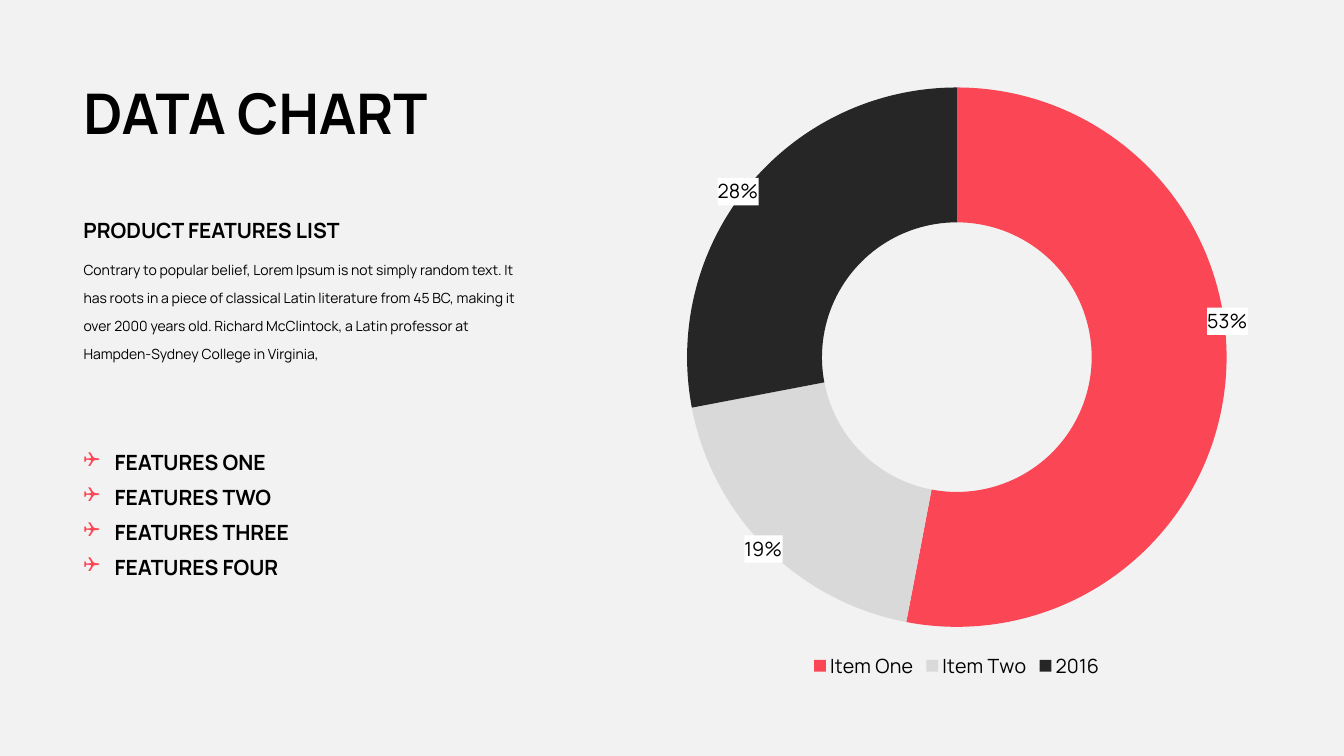
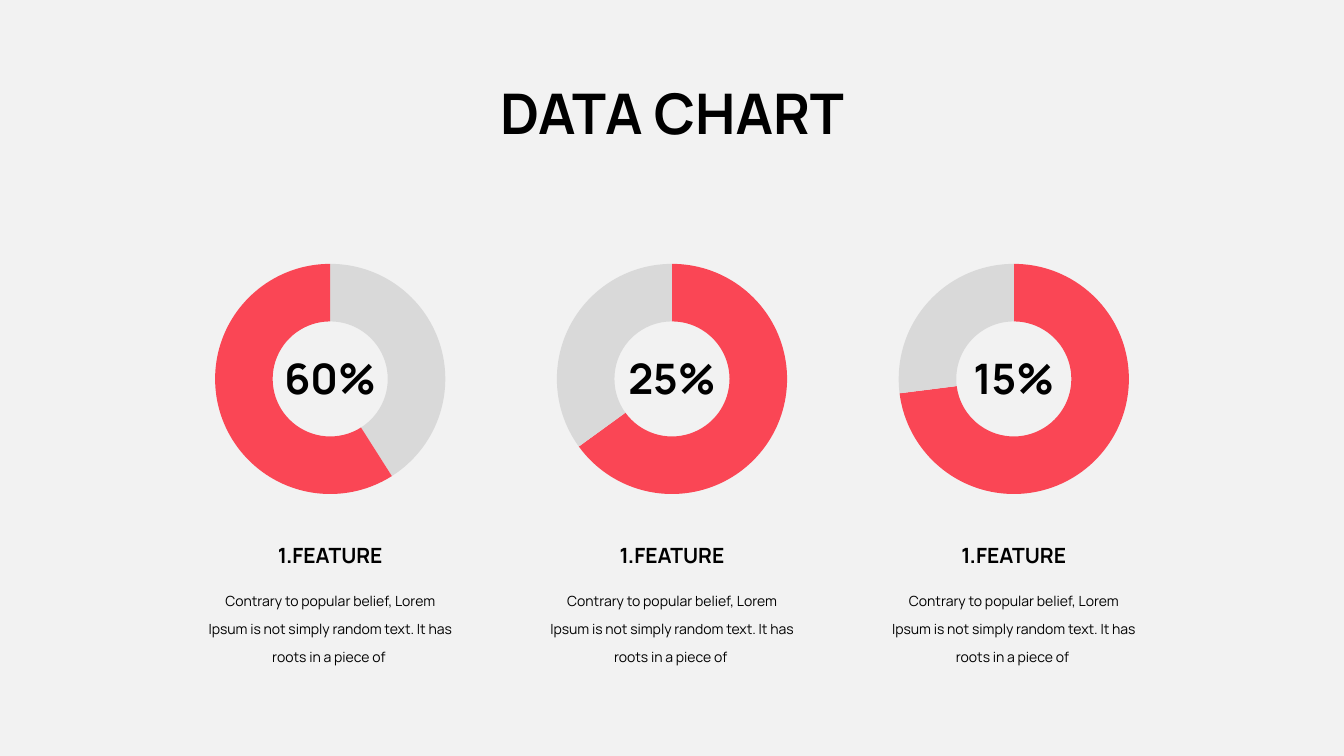
"""Build two data chart slides with doughnut charts."""
import copy

import pptx
import pptx.chart.data
import pptx.dml.color
import pptx.enum.chart
import pptx.enum.shapes
import pptx.enum.text
import pptx.oxml
import pptx.oxml.ns
import pptx.util

Inches = pptx.util.Inches
Pt = pptx.util.Pt
RGBColor = pptx.dml.color.RGBColor
ALIGN = pptx.enum.text.PP_ALIGN
qn = pptx.oxml.ns.qn
nsdecls = pptx.oxml.ns.nsdecls

RED = RGBColor(0xFA, 0x46, 0x55)
SILVER = RGBColor(0xD9, 0xD9, 0xD9)
CHARCOAL = RGBColor(0x26, 0x26, 0x26)
BLACK = RGBColor(0, 0, 0)
WHITE = RGBColor(0xFF, 0xFF, 0xFF)
PAPER = RGBColor(0xF2, 0xF2, 0xF2)
FONT = "Manrope"

SLIDE_WIDTH, SLIDE_HEIGHT = 13.33, 7.5
LEFT = 0.73
TITLE_TOP = 0.73
COLUMN_PITCH = 3.39
HOLE_SIZE = 86

STYLES = {
    "title": {"size": 40, "bold": True},
    "figure": {"size": 30, "bold": True},
    "heading": {"size": 15, "bold": True, "spacing": 25},
    "body": {"size": 10, "bold": False, "spacing": 20},
}

TITLE = "DATA CHART"
INTRO_HEADING = "PRODUCT FEATURES LIST"
INTRO = (
    "Contrary to popular belief, Lorem Ipsum is not simply random text. "
    "It has roots in a piece of classical Latin literature from 45 BC, "
    "making it over 2000 years old. Richard McClintock, a Latin professor "
    "at Hampden-Sydney College in Virginia,"
)
FEATURES = ["FEATURES ONE", "FEATURES TWO", "FEATURES THREE", "FEATURES FOUR"]
SHARES = [("Item One", 53, RED), ("Item Two", 19, SILVER), ("2016", 28, CHARCOAL)]
LABEL_OFFSETS = [(0.11, -0.09), (-0.08, 0.08), (-0.1, -0.06)]

COLUMN_HEADING = "1.FEATURE"
COLUMN_TEXT = (
    "Contrary to popular belief, Lorem Ipsum is not simply random text. "
    "It has roots in a piece of "
)
COLUMNS = [
    ("60%", [("1", None, RED), ("2", 41, SILVER), ("3", 59, RED)]),
    ("25%", [("1", 65, RED), ("2", None, RED), ("3", 35, SILVER)]),
    ("15%", [("1", 73, RED), ("2", 27, SILVER)]),
]


def add_backdrop(page):
    """Cover the slide with the paper colour."""
    backdrop = page.shapes.add_shape(
        pptx.enum.shapes.MSO_SHAPE.RECTANGLE,
        0, 0, Inches(SLIDE_WIDTH), Inches(SLIDE_HEIGHT),
    )
    backdrop.shadow.inherit = False
    backdrop.fill.solid()
    backdrop.fill.fore_color.rgb = PAPER
    backdrop.line.fill.background()


def add_text(page, lines, style, left, top, width, height, align=ALIGN.LEFT):
    """Add a text box with one paragraph per line and return its paragraphs."""
    box = page.shapes.add_textbox(
        Inches(left), Inches(top), Inches(width), Inches(height)
    )
    frame = box.text_frame
    frame.text = "\n".join(lines)
    frame.word_wrap = True
    frame.auto_size = pptx.enum.text.MSO_AUTO_SIZE.SHAPE_TO_FIT_TEXT
    look = STYLES[style]
    for para in frame.paragraphs:
        para.alignment = align
        para.font.name = FONT
        para.font.size = Pt(look["size"])
        para.font.bold = look["bold"]
        para.font.color.rgb = BLACK
        if "spacing" in look:
            para.line_spacing = Pt(look["spacing"])
    return frame.paragraphs


def add_bullet(para):
    """Give a paragraph a hanging red box bullet."""
    properties = para._p.get_or_add_pPr()
    indent = Inches(0.31)
    properties.set("marL", str(indent))
    properties.set("indent", str(-indent))
    for content in (
        f'<a:buClr {nsdecls("a")}><a:srgbClr val="{RED}"/></a:buClr>',
        f'<a:buFont {nsdecls("a")} typeface="Wingdings" charset="2"/>',
        f'<a:buChar {nsdecls("a")} char="❑"/>',
    ):
        properties.append(pptx.oxml.parse_xml(content))


def set_chart_font(font, size, name=FONT):
    """Set the typeface, size and colour of chart text."""
    font.name = name
    font.size = Pt(size)
    font.color.rgb = BLACK


def add_doughnut(page, slices, left, top, width, height):
    """Add a doughnut chart whose slices are (name, value, colour)."""
    data = pptx.chart.data.CategoryChartData()
    data.categories = [name for name, _, _ in slices]
    data.add_series("Series 1", [value for _, value, _ in slices])
    chart = page.shapes.add_chart(
        pptx.enum.chart.XL_CHART_TYPE.DOUGHNUT,
        Inches(left), Inches(top), Inches(width), Inches(height), data,
    ).chart
    chart.has_title = False
    chart.has_legend = False
    set_chart_font(chart.font, 10, "Montserrat")
    plot = chart.plots[0]
    plot.vary_by_categories = True
    plot._element.find(qn("c:holeSize")).set("val", str(HOLE_SIZE))
    for index, (_, _, color) in enumerate(slices):
        style = plot.series[0].points[index].format
        style.fill.solid()
        style.fill.fore_color.rgb = color
        style.line.fill.background()
    return chart


def add_legend(chart):
    """Show a legend below the chart."""
    chart.has_legend = True
    chart.legend.position = pptx.enum.chart.XL_LEGEND_POSITION.BOTTOM
    chart.legend.include_in_layout = False
    set_chart_font(chart.legend.font, 14)


def add_percent_labels(chart, offsets):
    """Show white percentage labels, each moved by a share of the chart size."""
    labels = chart.plots[0].series[0].data_labels
    labels.show_percentage = True
    labels.show_value = False
    labels.number_format = "0%"
    labels.number_format_is_linked = False
    set_chart_font(labels.font, 14)
    group = labels._element
    group.find(qn("c:txPr")).addprevious(pptx.oxml.parse_xml(
        f'<c:spPr {nsdecls("c", "a")}><a:solidFill>'
        f'<a:srgbClr val="{WHITE}"/></a:solidFill></c:spPr>'
    ))
    shared = [part for part in group if part.tag != qn("c:showLeaderLines")]
    for index, (x, y) in enumerate(offsets):
        label = pptx.oxml.parse_xml(
            f'<c:dLbl {nsdecls("c")}><c:idx val="{index}"/><c:layout>'
            f'<c:manualLayout><c:x val="{x}"/><c:y val="{y}"/>'
            "</c:manualLayout></c:layout></c:dLbl>"
        )
        label.extend(copy.deepcopy(part) for part in shared)
        group.insert(index, label)


def build_share_slide(page):
    """Fill the slide with the feature list and the large doughnut."""
    add_text(page, [TITLE], "title", LEFT, TITLE_TOP, 5.04, 0.77)
    add_text(page, [INTRO_HEADING], "heading", LEFT, 2.01, 3.86, 0.42)
    add_text(page, [INTRO], "body", LEFT, 2.43, 4.69, 1.22)
    for para in add_text(page, FEATURES, "heading", LEFT, 4.31, 2.8, 1.5):
        add_bullet(para)
    chart = add_doughnut(page, SHARES, 6.37, 0.73, 6.24, 6.05)
    add_legend(chart)
    add_percent_labels(chart, LABEL_OFFSETS)


def build_column_slide(page):
    """Fill the slide with three captioned doughnuts."""
    middle = SLIDE_WIDTH / 2

    def add_centred(text, style, center, top, width, height):
        add_text(page, [text], style, center - width / 2, top, width, height,
                 ALIGN.CENTER)

    add_centred(TITLE, "title", middle, TITLE_TOP, 8.17, 0.77)
    for index, (figure, slices) in enumerate(COLUMNS):
        center = middle + (index - (len(COLUMNS) - 1) / 2) * COLUMN_PITCH
        add_doughnut(page, slices, center - 1.7, 2.48, 3.4, 2.56)
        add_centred(figure, "figure", center, 3.45, 1.64, 0.61)
        add_centred(COLUMN_HEADING, "heading", center, 5.24, 1.65, 0.42)
        add_centred(COLUMN_TEXT, "body", center, 5.72, 2.65, 0.91)


def main():
    """Create and save the deck."""
    deck = pptx.Presentation()
    deck.slide_width = Inches(SLIDE_WIDTH)
    deck.slide_height = Inches(SLIDE_HEIGHT)
    for build in (build_share_slide, build_column_slide):
        page = deck.slides.add_slide(deck.slide_layouts[6])
        add_backdrop(page)
        build(page)
    deck.save("out.pptx")


if __name__ == "__main__":
    main()
